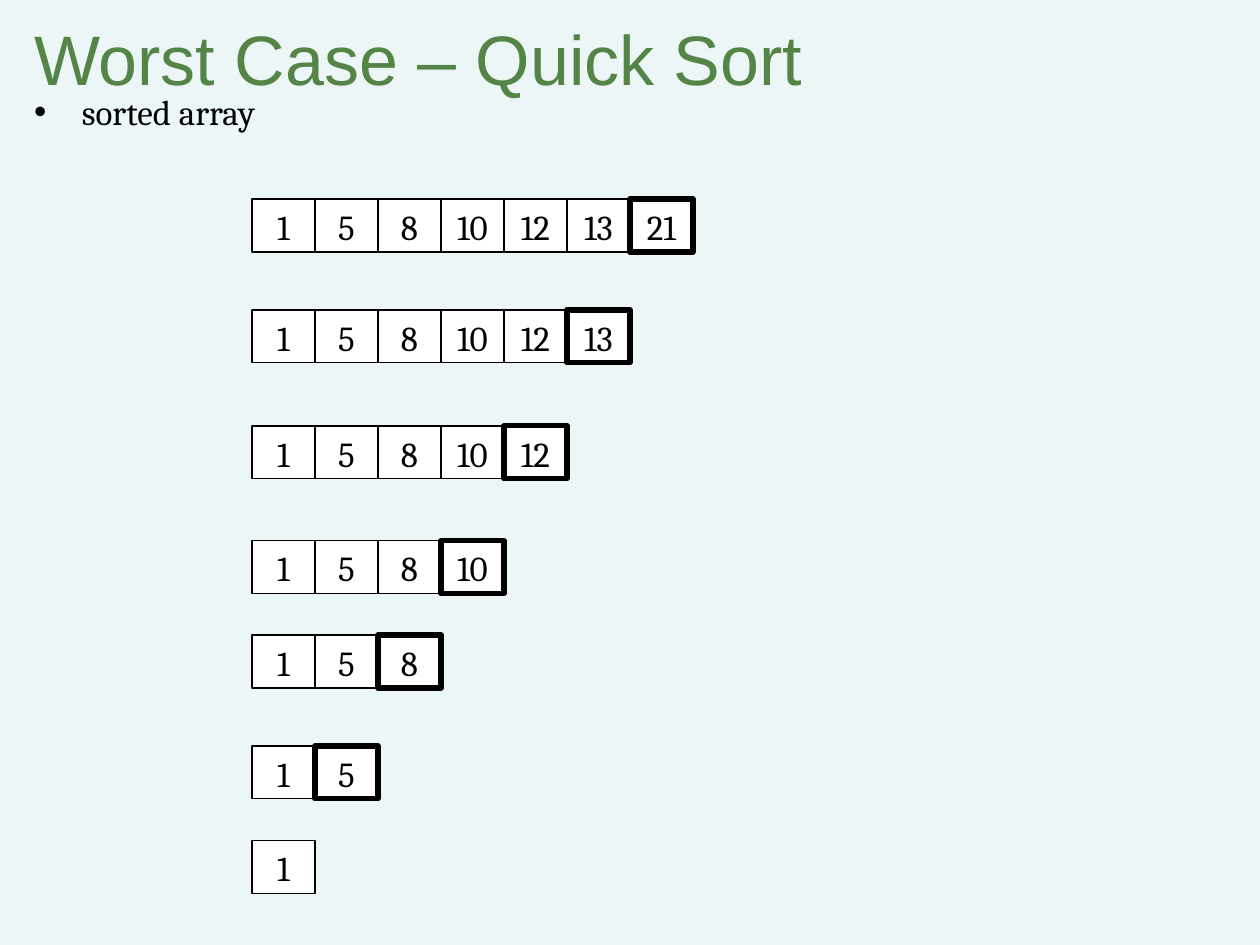
from pptx import Presentation
from pptx.dml.color import RGBColor
from pptx.enum.shapes import MSO_SHAPE
from pptx.enum.text import MSO_ANCHOR, MSO_AUTO_SIZE, PP_ALIGN
from pptx.util import Inches, Pt

RECTANGLE = MSO_SHAPE.RECTANGLE
TOP, MIDDLE = MSO_ANCHOR.TOP, MSO_ANCHOR.MIDDLE
LEFT, CENTER = PP_ALIGN.LEFT, PP_ALIGN.CENTER
NO_FIT = MSO_AUTO_SIZE.NONE

COLORS = {"background": "EDF6F7", "title": "548446", "ink": "000000", "cell": "FFFFFF"}
VALUES = [1, 5, 8, 10, 12, 13, 21]
ROW_TOPS = [1.58, 2.46, 3.38, 4.29, 5.04, 5.92, 6.67]
ARRAY_LEFT, CELL_W, CELL_H = 2, 0.5, 0.42


def place(sp, left, top, width, height):
    sp.left, sp.top = Inches(left), Inches(top)
    sp.width, sp.height = Inches(width), Inches(height)


def write(sp, text, font, size, color, align, anchor):
    tf = sp.text_frame
    tf.word_wrap = True
    tf.auto_size = NO_FIT
    tf.vertical_anchor = anchor
    p = tf.paragraphs[0]
    p.alignment = align
    r = p.add_run()
    r.text = text
    r.font.name = font
    r.font.size = Pt(size)
    r.font.color.rgb = RGBColor.from_string(COLORS[color])
    return p


prs = Presentation()
prs.slide_width, prs.slide_height = Inches(10), Inches(7.5)
s = prs.slides.add_slide(prs.slide_layouts[1])
s.background.fill.solid()
s.background.fill.fore_color.rgb = RGBColor.from_string(COLORS["background"])

title, body = s.placeholders
place(title, 0.17, -0.17, 9.83, 1.25)
write(title, "Worst Case – Quick Sort", "Arial", 40, "title", LEFT, MIDDLE)

place(body, 0.17, 0.67, 9.83, 5.83)
p = write(body, "sorted array", "Cambria", 20, "ink", LEFT, TOP)
pPr = p._p.get_or_add_pPr()
pPr.set("marL", str(Inches(0.38)))
pPr.set("indent", str(Inches(-0.38)))

for row, top in enumerate(ROW_TOPS):
    values = VALUES[:len(VALUES) - row]
    shapes = s.shapes.add_group_shape().shapes if len(values) > 1 else s.shapes
    for col, value in enumerate(values):
        sp = shapes.add_shape(
            RECTANGLE, Inches(ARRAY_LEFT + col * CELL_W), Inches(top),
            Inches(CELL_W), Inches(CELL_H))
        sp.shadow.inherit = False
        sp.fill.solid()
        sp.fill.fore_color.rgb = RGBColor.from_string(COLORS["cell"])
        sp.line.color.rgb = RGBColor.from_string(COLORS["ink"])
        is_pivot = len(values) > 1 and value == values[-1]
        sp.line.width = Pt(3 if is_pivot else 0.75)
        write(sp, str(value), "Cambria", 20, "ink", CENTER, TOP)

prs.save("out.pptx")
